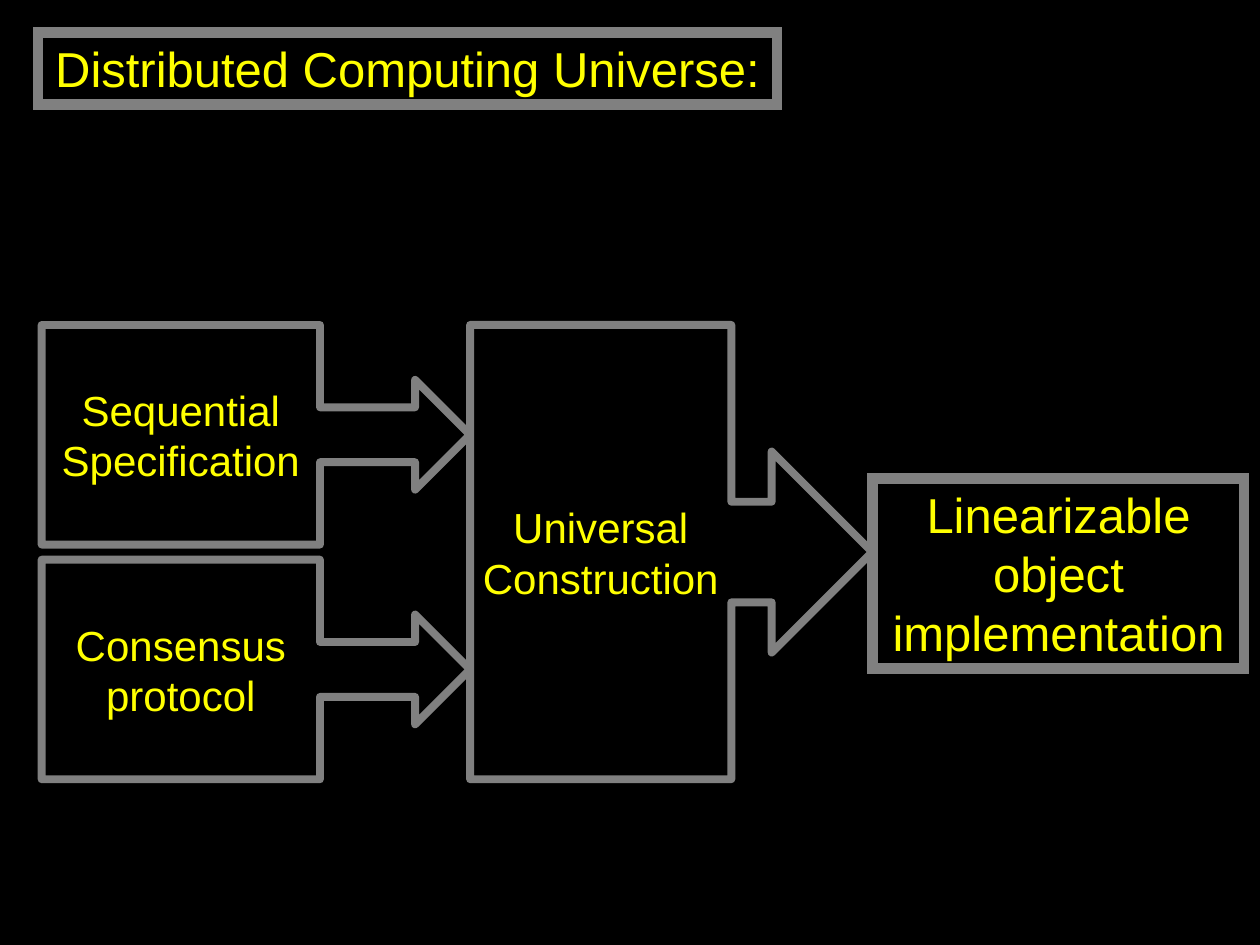
from lxml import etree
from pptx import Presentation
from pptx import util as u
from pptx.dml.color import RGBColor
from pptx.enum import shapes, text
from pptx.oxml import ns

BLACK = RGBColor(0x00, 0x00, 0x00)
GRAY = RGBColor(0x80, 0x80, 0x80)
YELLOW = RGBColor(0xFF, 0xFF, 0x00)


class Diagram:
    font_name = "Arial"

    def __init__(self, presentation):
        self.slide = presentation.slides.add_slide(presentation.slide_layouts[6])
        background = self.slide.background.fill
        background.solid()
        background.fore_color.rgb = BLACK

    def add_block(self, preset, label, bounds, size, line_width, join):
        shape = self.slide.shapes.add_shape(preset, *[u.Pt(value) for value in bounds])
        shape.shadow.inherit = False
        shape.fill.solid()
        shape.fill.fore_color.rgb = BLACK
        shape.line.color.rgb = GRAY
        shape.line.width = u.Pt(line_width)
        etree.SubElement(shape.line._get_or_add_ln(), ns.qn(f"a:{join}"))
        frame = shape.text_frame
        frame.text = label
        frame.word_wrap = True
        paragraph = frame.paragraphs[0]
        paragraph.alignment = text.PP_ALIGN.CENTER
        for run in paragraph.runs:
            run.font.name = self.font_name
            run.font.size = u.Pt(size)
            run.font.color.rgb = YELLOW
        return frame

    def add_box(self, label, bounds, wrap=True):
        frame = self.add_block(shapes.MSO_SHAPE.RECTANGLE, label, bounds, 28, 6, "miter")
        frame.vertical_anchor = text.MSO_ANCHOR.TOP
        frame.auto_size = text.MSO_AUTO_SIZE.SHAPE_TO_FIT_TEXT
        frame.word_wrap = wrap

    def add_callout(self, label, bounds):
        frame = self.add_block(
            shapes.MSO_SHAPE.RIGHT_ARROW_CALLOUT, label, bounds, 24, 4.5, "round"
        )
        frame.vertical_anchor = text.MSO_ANCHOR.MIDDLE
        frame.margin_left = frame.margin_right = u.Pt(5)


def main():
    presentation = Presentation()
    presentation.slide_width = u.Pt(720)
    presentation.slide_height = u.Pt(540)
    diagram = Diagram(presentation)

    left, top = 23.8, 185.7
    input_width, input_height, gap = 244.8, 125.5, 8.6
    construction_left = left + input_width
    construction_height = 2 * input_height + gap

    diagram.add_box("Distributed Computing Universe:", (21.6, 18.6, 422.4, 41.2), wrap=False)
    diagram.add_callout(
        "Universal Construction", (construction_left, top, 229.8, construction_height)
    )
    diagram.add_box("Linearizable object implementation", (498.7, 273.5, 212.3, 108.5))
    for row, label in enumerate(("Sequential Specification", "Consensus protocol")):
        row_top = top + row * (input_height + gap)
        diagram.add_callout(label, (left, row_top, input_width, input_height))

    presentation.save("out.pptx")


if __name__ == "__main__":
    main()
